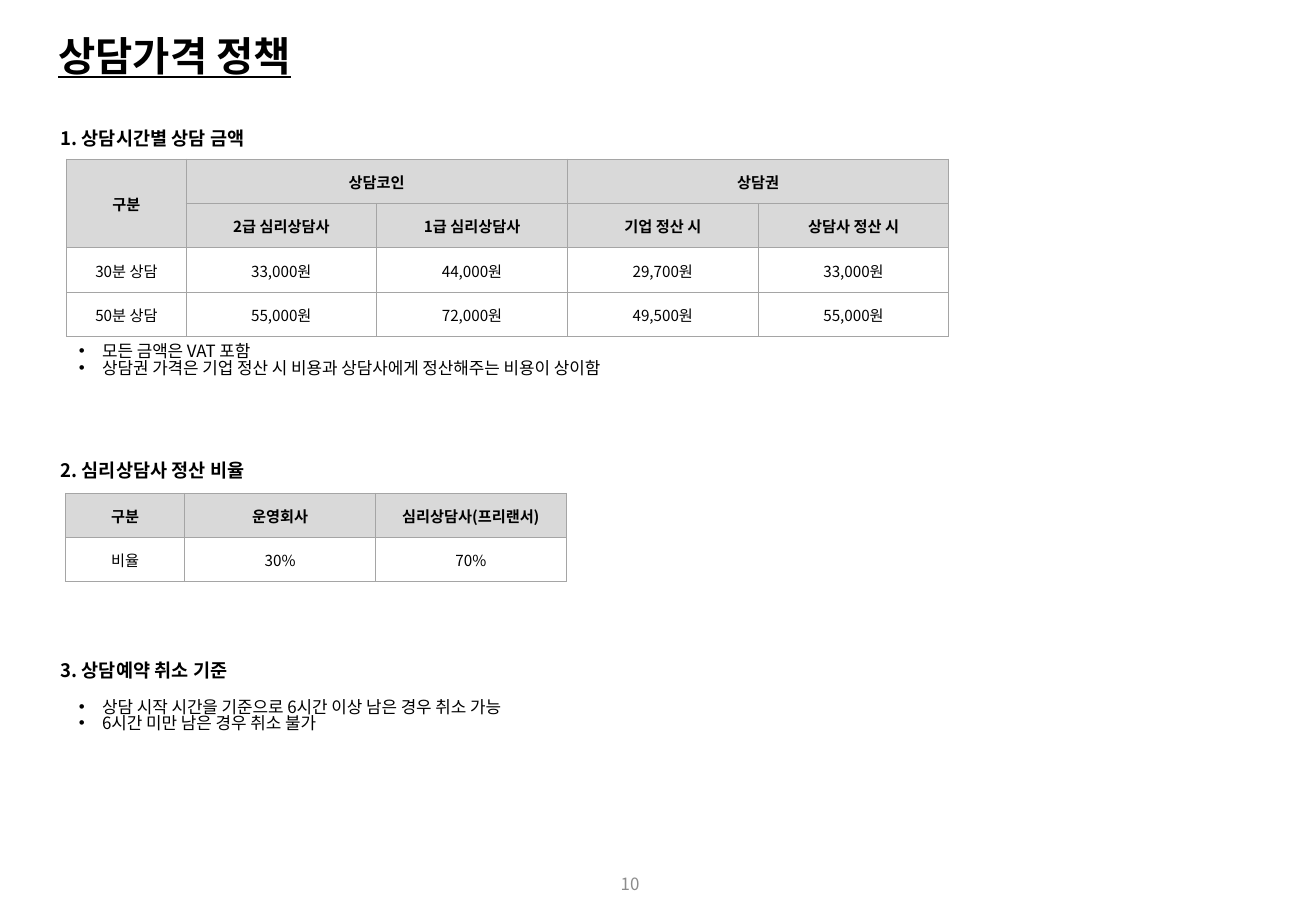
"""Build the counselling price policy slide."""
from typing import NamedTuple

from lxml import etree
from pptx import Presentation
from pptx import util as u
from pptx.dml.color import RGBColor
from pptx.enum import text
from pptx.oxml import ns

FONT = "Noto Sans CJK KR"
BLACK = RGBColor(0x00, 0x00, 0x00)
WHITE = RGBColor(0xFF, 0xFF, 0xFF)
PAGE_GRAY = RGBColor(0x8C, 0x8C, 0x8C)
HEADER_GRAY = RGBColor(0xD9, 0xD9, 0xD9)
BORDER_GRAY = RGBColor(0xA5, 0xA5, 0xA5)
LABEL_WIDTH, VALUE_WIDTH, ROW_HEIGHT = 0.98, 1.57, 0.365
INDENT = u.Inches(0.19)
LINE_SPACING = 0.83


class Area(NamedTuple):
    left: float
    top: float
    width: float
    height: float


class Style(NamedTuple):
    size: float
    bold: bool = False
    color: RGBColor = BLACK
    align: text.PP_ALIGN = text.PP_ALIGN.LEFT
    underline: bool = False


class Heading(NamedTuple):
    words: str
    top: float


class BulletList(NamedTuple):
    area: Area
    items: list[str]


class PriceTable(NamedTuple):
    left: float
    top: float
    header_rows: int
    rows: list[list[str]]
    merges: list[tuple[int, int, int, int]]


TITLE_STYLE = Style(24, bold=True, underline=True)
HEADING_STYLE = Style(11, bold=True)
LIST_STYLE = Style(10)
PAGE_STYLE = Style(10, color=PAGE_GRAY, align=text.PP_ALIGN.CENTER)

HEADINGS = [
    Heading("1. 상담시간별 상담 금액", 1.03),
    Heading("2. 심리상담사 정산 비율", 3.76),
    Heading("3. 상담예약 취소 기준", 5.41),
]
LISTS = [
    BulletList(Area(0.55, 2.78, 5.09, 0.44), [
        "모든 금액은 VAT 포함",
        "상담권 가격은 기업 정산 시 비용과 상담사에게 정산해주는 비용이 상이함",
    ]),
    BulletList(Area(0.55, 5.71, 4.14, 0.44), [
        "상담 시작 시간을 기준으로 6시간 이상 남은 경우 취소 가능",
        "6시간 미만 남은 경우 취소 불가",
    ]),
]
TABLES = [
    PriceTable(0.55, 1.31, 2, [
        ["구분", "상담코인", "", "상담권", ""],
        ["", "2급 심리상담사", "1급 심리상담사", "기업 정산 시", "상담사 정산 시"],
        ["30분 상담", "33,000원", "44,000원", "29,700원", "33,000원"],
        ["50분 상담", "55,000원", "72,000원", "49,500원", "55,000원"],
    ], [(0, 0, 1, 0), (0, 1, 0, 2), (0, 3, 0, 4)]),
    PriceTable(0.54, 4.06, 1, [
        ["구분", "운영회사", "심리상담사(프리랜서)"],
        ["비율", "30%", "70%"],
    ], []),
]


def format_paragraph(para, style: Style) -> None:
    para.alignment = style.align
    font = para.font
    font.size = u.Pt(style.size)
    font.bold = style.bold
    font.underline = style.underline
    font.color.rgb = style.color
    font.name = FONT
    etree.SubElement(font._element, ns.qn("a:ea"), typeface=FONT)


def add_bullet(para) -> None:
    properties = para._p.get_or_add_pPr()
    properties.set("marL", str(INDENT))
    properties.set("indent", str(-INDENT))
    etree.SubElement(properties, ns.qn("a:buFont"), typeface="Arial")
    etree.SubElement(properties, ns.qn("a:buChar"), char="•")


def fill_box(box, area: Area, lines: list[str], style: Style,
             anchor: text.MSO_ANCHOR = text.MSO_ANCHOR.TOP, bulleted: bool = False) -> None:
    box.left, box.top, box.width, box.height = map(u.Inches, area)
    frame = box.text_frame
    frame.word_wrap = True
    frame.auto_size = text.MSO_AUTO_SIZE.NONE
    frame.vertical_anchor = anchor
    frame.text = "\n".join(lines)
    for para in frame.paragraphs:
        para.line_spacing = LINE_SPACING
        para.space_before = u.Pt(0)
        if bulleted:
            add_bullet(para)
        format_paragraph(para, style)


def add_borders(cell) -> None:
    properties = cell._tc.get_or_add_tcPr()
    for side in ("lnL", "lnR", "lnT", "lnB"):
        line = etree.SubElement(properties, ns.qn(f"a:{side}"), w=str(u.Pt(0.5)))
        fill = etree.SubElement(line, ns.qn("a:solidFill"))
        etree.SubElement(fill, ns.qn("a:srgbClr"), val=str(BORDER_GRAY))


def add_price_table(page, spec_table: PriceTable) -> None:
    rows = spec_table.rows
    widths = [LABEL_WIDTH] + [VALUE_WIDTH] * (len(rows[0]) - 1)
    area = Area(spec_table.left, spec_table.top, sum(widths), ROW_HEIGHT * len(rows))
    table = page.shapes.add_table(len(rows), len(widths), *map(u.Inches, area)).table
    table.first_row = table.horz_banding = False
    for column, width in zip(table.columns, widths):
        column.width = u.Inches(width)
    for row_index, row in enumerate(rows):
        is_header = row_index < spec_table.header_rows
        for column_index, words in enumerate(row):
            cell = table.cell(row_index, column_index)
            add_borders(cell)
            cell.fill.solid()
            cell.fill.fore_color.rgb = HEADER_GRAY if is_header else WHITE
            cell.margin_left = cell.margin_right = cell.margin_top = u.Inches(0.01)
            cell.margin_bottom = 0
            cell.vertical_anchor = text.MSO_ANCHOR.MIDDLE
            cell.text = words
            format_paragraph(cell.text_frame.paragraphs[0],
                             Style(9, bold=is_header, align=text.PP_ALIGN.CENTER))
    for top, left, bottom, right in spec_table.merges:
        table.cell(top, left).merge(table.cell(bottom, right))


def main() -> None:
    deck = Presentation()
    deck.slide_width, deck.slide_height = u.Inches(10.83), u.Inches(7.5)
    page = deck.slides.add_slide(deck.slide_layouts.get_by_name("Two Content"))
    title, *bodies = page.placeholders
    fill_box(title, Area(0.38, 0.27, 2.34, 0.5), ["상담가격 정책"], TITLE_STYLE)
    for body, bullet_list in zip(bodies, LISTS):
        fill_box(body, bullet_list.area, bullet_list.items, LIST_STYLE, bulleted=True)
    for heading in HEADINGS:
        box = page.shapes.add_textbox(0, 0, 0, 0)
        fill_box(box, Area(0.4, heading.top, 1.88, 0.29), [heading.words], HEADING_STYLE)
    for price_table in TABLES:
        add_price_table(page, price_table)
    number = page.shapes.add_textbox(0, 0, 0, 0)
    fill_box(number, Area(3.92, 7.09, 2.53, 0.4), ["10"], PAGE_STYLE, text.MSO_ANCHOR.MIDDLE)
    deck.save("out.pptx")


if __name__ == "__main__":
    main()
